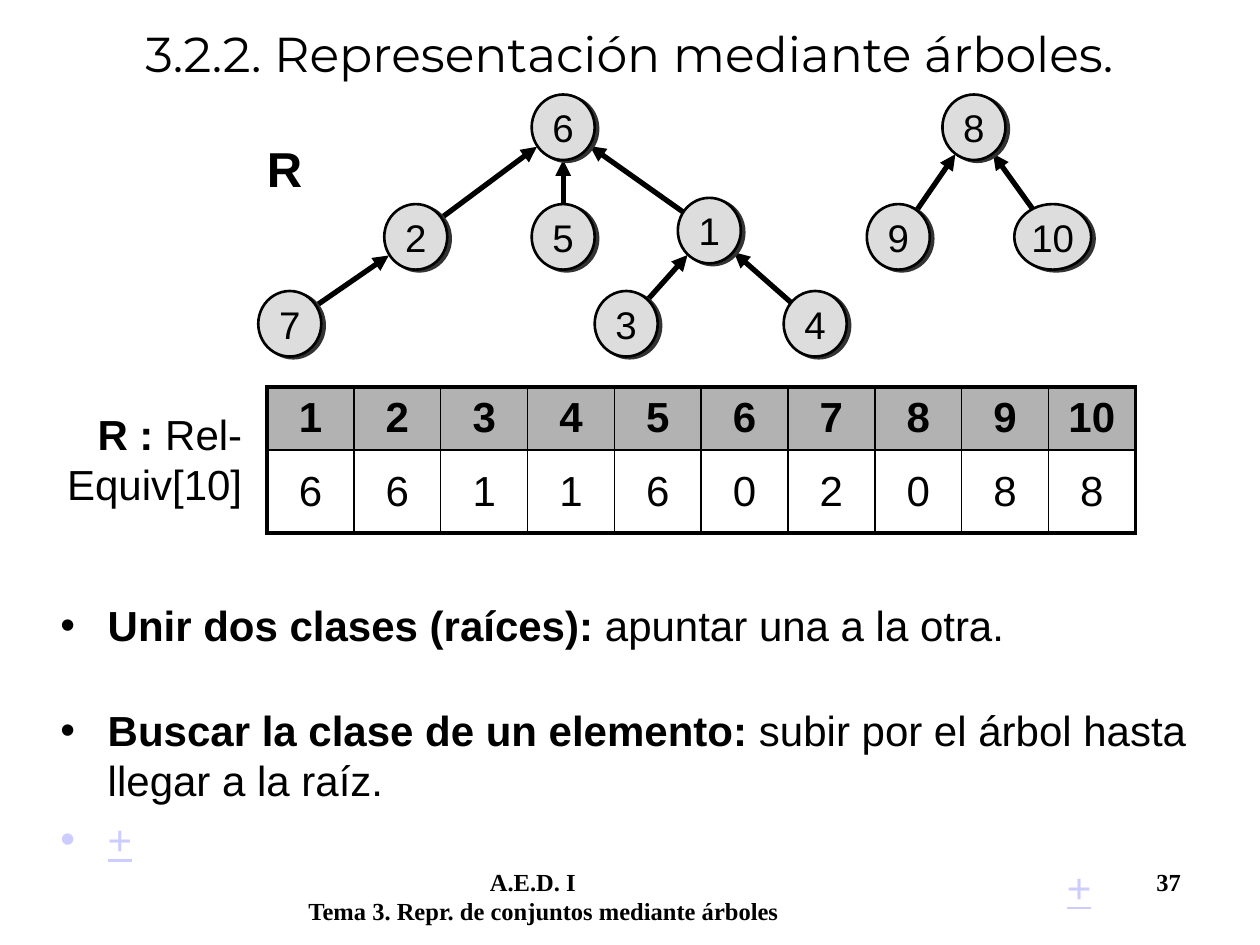
import math

from lxml import etree
from pptx import Presentation
from pptx import util as u
from pptx.dml.color import RGBColor
from pptx.enum import shapes, text
from pptx.oxml.ns import qn

COLORS = {"ink": "000000", "paper": "FFFFFF", "header": "B2B2B2",
          "node": "DDDDDD", "shadow": "333333", "mark": "CCCCFF"}
COLUMN = ROW = u.Inches(0.1)  # the slide is a grid of 100 columns by 75 rows
PARENTS = [6, 6, 1, 1, 6, 0, 2, 0, 8, 8]  # parent of elements 1 to 10, 0 for a root
# Node centres, in columns and rows from the corner of the forest's box
CENTERS = {6: (24.2, 2.6), 8: (56.8, 2.6), 1: (35.8, 10.8),
           2: (12.5, 11.3), 5: (24.2, 11.3), 9: (50.8, 11.3), 10: (63.05, 11.3),
           7: (2.5, 18.2), 3: (29.2, 18.2), 4: (44.2, 18.2)}
NODE_HEIGHT = 5.2

BODY = {"name": "Arial", "size": u.Pt(24), "color": "ink"}
BOLD = {**BODY, "bold": True}
MARK = {**BODY, "color": "mark", "underline": True}
LABEL = {**BOLD, "size": u.Pt(28)}
NODE = {**BODY, "size": u.Pt(22)}
TITLE = {"name": "Montserrat", "size": u.Pt(28), "color": "ink"}
FOOTER = {"name": "Times New Roman", "size": u.Pt(14), "color": "ink", "bold": True}


def rgb(name):
    return RGBColor.from_string(COLORS[name])


def grid(left, top, width, height):
    return [int(value * COLUMN) for value in (left, top, width, height)]


def add_run(paragraph, words, style):
    run = paragraph.add_run()
    run.text = words
    for key, value in style.items():
        if key == "color":
            run.font.color.rgb = rgb(value)
        else:
            setattr(run.font, key, value)


def write(paragraph, runs, **formats):
    """Fill a paragraph with (words, style) runs."""
    for key, value in formats.items():
        setattr(paragraph, key, value)
    for words, style in runs:
        add_run(paragraph, words, style)


def add_label(slide, box, runs, wrap=True, **formats):
    frame = slide.shapes.add_textbox(*grid(*box)).text_frame
    frame.word_wrap = wrap
    write(frame.paragraphs[0], runs, **formats)
    return frame


def place(placeholder, box):
    for key, value in zip(("left", "top", "width", "height"), grid(*box)):
        setattr(placeholder, key, value)
    placeholder.text_frame.auto_size = text.MSO_AUTO_SIZE.NONE
    return placeholder.text_frame


def fill_title(slide, box):
    frame = place(slide.shapes.title, box)
    frame.vertical_anchor = text.MSO_ANCHOR.MIDDLE
    write(frame.paragraphs[0], [("3.2.2. Representación mediante árboles.", TITLE)],
          alignment=text.PP_ALIGN.CENTER)


def fill_operations(slide, box):
    frame = place(slide.placeholders[1], box)
    items = [
        (0, [("Unir dos clases (raíces):", BOLD), (" apuntar una a la otra.", BODY)]),
        (31, [("Buscar la clase de un elemento:", BOLD),
              (" subir por el árbol hasta llegar a la raíz.", BODY)]),
        (5, [("+", MARK)]),
    ]
    for index, (space, runs) in enumerate(items):
        paragraph = frame.add_paragraph() if index else frame.paragraphs[0]
        write(paragraph, runs, space_before=u.Pt(space))


def add_edge(group, start, end):
    edge = group.shapes.add_connector(shapes.MSO_CONNECTOR.STRAIGHT, *start, *end)
    edge.line.width = u.Pt(3)
    edge.line.color.rgb = rgb("ink")
    etree.SubElement(edge.line._get_or_add_ln(), qn("a:tailEnd"), type="triangle")
    etree.SubElement(edge._element.spPr, qn("a:effectLst"))


def add_node(group, center, element):
    width, height = int((6.1 if element > 9 else 5) * COLUMN), int(NODE_HEIGHT * ROW)
    node = group.shapes.add_shape(shapes.MSO_SHAPE.OVAL, center[0] - width // 2,
                                  center[1] - height // 2, width, height)
    node.fill.solid()
    node.fill.fore_color.rgb = rgb("node")
    node.line.color.rgb = rgb("ink")
    node.line.width = u.Pt(1.5)
    node.shadow.inherit = False
    shadow = etree.SubElement(node._element.spPr.find(qn("a:effectLst")),
                              qn("a:outerShdw"), dist=str(u.Pt(2.2)),
                              dir=str(27 * 60000), algn="ctr", rotWithShape="0")
    etree.SubElement(shadow, qn("a:srgbClr"), val=COLORS["shadow"])
    frame = node.text_frame
    frame.word_wrap = False
    frame.vertical_anchor = text.MSO_ANCHOR.MIDDLE
    for side in ("left", "right", "top", "bottom"):
        setattr(frame, f"margin_{side}", u.Inches(0.02))
    write(frame.paragraphs[0], [(str(element), NODE)], alignment=text.PP_ALIGN.CENTER)


def add_forest(slide, left, top):
    """Draw every edge up to the rim of its parent, then the nodes over them."""
    group = slide.shapes.add_group_shape()
    centers = {element: (int((left + x) * COLUMN), int((top + y) * ROW))
               for element, (x, y) in CENTERS.items()}
    radius = NODE_HEIGHT / 2 * ROW
    for child, parent in enumerate(PARENTS, 1):
        if parent:
            start, target = centers[child], centers[parent]
            share = 1 - radius / math.dist(start, target)
            end = [int(a + (b - a) * share) for a, b in zip(start, target)]
            add_edge(group, start, end)
    for element, center in centers.items():
        add_node(group, center, element)


def set_borders(cell, widths):
    properties = cell._tc.get_or_add_tcPr()
    for index, (side, width) in enumerate(widths.items()):
        line = etree.Element(qn(f"a:ln{side}"), w=str(u.Pt(width)))
        fill = etree.SubElement(line, qn("a:solidFill"))
        etree.SubElement(fill, qn("a:srgbClr"), val=COLORS["ink"])
        properties.insert(index, line)


def add_parent_table(slide, box, row_heights):
    count = len(PARENTS)
    table = slide.shapes.add_table(2, count, *grid(*box)).table
    table.first_row = table.horz_banding = False
    for row, height in zip(table.rows, row_heights):
        row.height = int(height * ROW)
    rows = [(range(1, count + 1), BOLD, "header"), (PARENTS, BODY, "paper")]
    for r, (values, style, color) in enumerate(rows):
        for c, value in enumerate(values):
            cell = table.cell(r, c)
            cell.fill.solid()
            cell.fill.fore_color.rgb = rgb(color)
            cell.vertical_anchor = text.MSO_ANCHOR.MIDDLE
            write(cell.text_frame.paragraphs[0], [(str(value), style)],
                  alignment=text.PP_ALIGN.CENTER)
            outer = {"L": c == 0, "R": c == count - 1, "T": r == 0, "B": r == 1}
            set_borders(cell, {side: 2.25 if edge else 1 for side, edge in outer.items()})


def add_footer(slide, box):
    frame = add_label(slide, box, [])
    first = frame.paragraphs[0]
    tabs = etree.SubElement(first._p.get_or_add_pPr(), qn("a:tabLst"))
    for stop in (14.4, 67.3):
        etree.SubElement(tabs, qn("a:tab"), pos=str(int(stop * COLUMN)), algn="l")
    write(first, [("\tA.E.D. I\t37", FOOTER)])
    write(frame.add_paragraph(), [("Tema 3. Repr. de conjuntos mediante árboles", FOOTER)])


def main():
    presentation = Presentation()
    presentation.slide_width, presentation.slide_height = 100 * COLUMN, 75 * ROW
    slide = presentation.slides.add_slide(presentation.slide_layouts[1])
    add_footer(slide, (23.5, 68.3, 74, 5))
    fill_title(slide, (3.3, 0, 93.3, 8.4))
    fill_operations(slide, (3.8, 47.1, 92.9, 22.6))
    add_label(slide, (20.2, 10.5, 4.8, 5.7), [("R", LABEL)])
    add_parent_table(slide, (21.2, 30.7, 68.9, 11.6), (4.9, 6.6))
    add_label(slide, (2, 31.9, 18.2, 9), [("R : ", BOLD), ("Rel-Equiv[10]", BODY)],
              alignment=text.PP_ALIGN.RIGHT)
    add_forest(slide, 20.5, 7.5)
    add_label(slide, (83.7, 67.9, 4, 5), [("+", MARK)], wrap=False)
    presentation.save("out.pptx")


if __name__ == "__main__":
    main()
